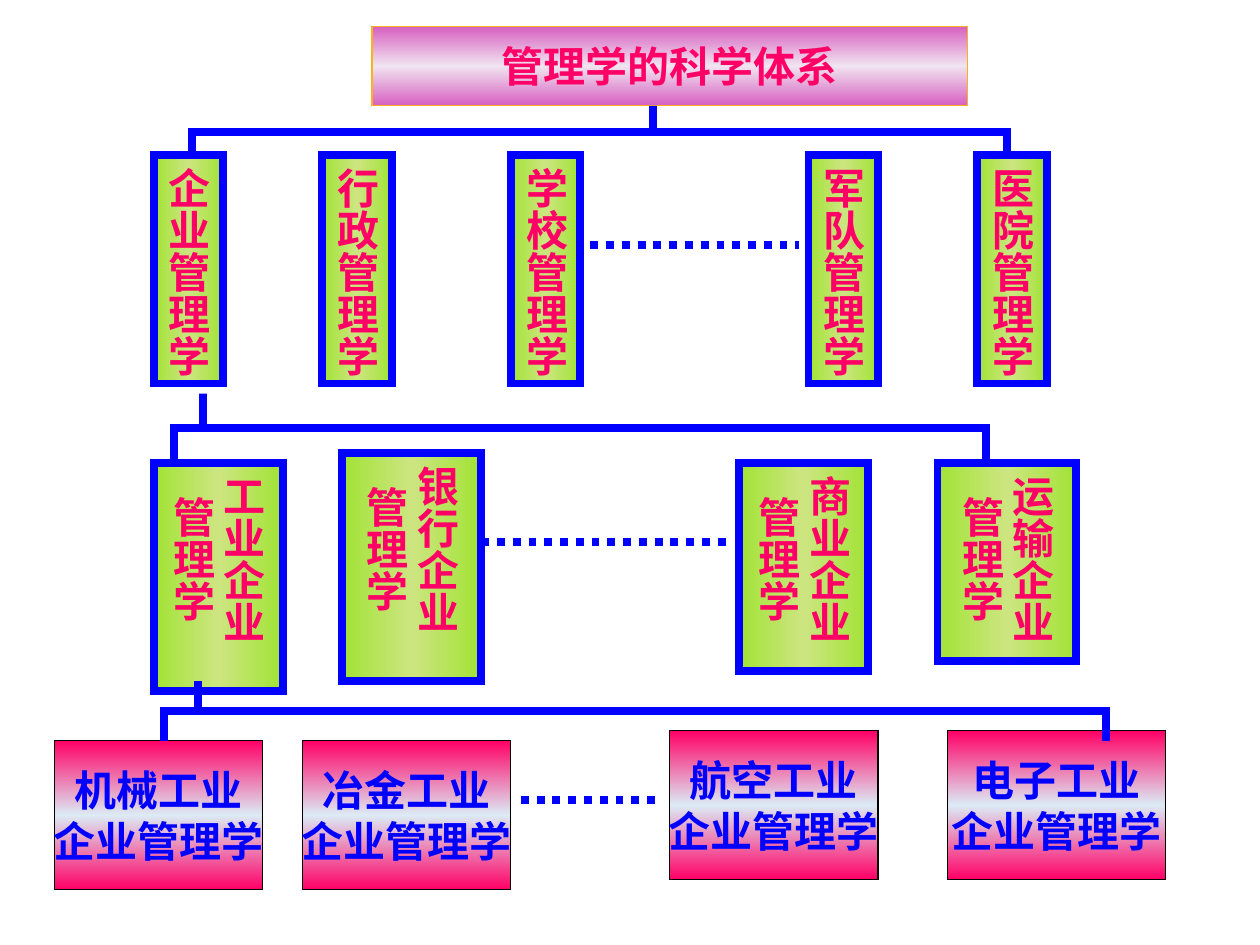
import copy
import dataclasses

import pptx
import pptx.dml.color
import pptx.enum.dml
import pptx.enum.shapes
import pptx.enum.text
import pptx.oxml.ns
import pptx.util


@dataclasses.dataclass(frozen=True)
class BoxStyle:
    """Look of one kind of box."""
    edge: str
    middle: str
    angle: int
    outline: str
    outline_width: float
    text: str
    vertical: bool = False


@dataclasses.dataclass(frozen=True)
class Theme:
    """Colours, type and box styles of the chart."""
    font: str = "Times New Roman"
    size: int = 24
    line: str = "0000FF"
    line_width: float = 4.5
    title: BoxStyle = BoxStyle("D75FC0", "F0E4F0", 90, "FAB11E", 0.75, "FF0066")
    branch: BoxStyle = BoxStyle("A1E335", "CDE581", 0, "0000FF", 4.5, "FF0066", True)
    industry: BoxStyle = BoxStyle("FF0066", "DCEBF5", 90, "000000", 0.75, "0000FF")


THEME = Theme()
WIDTH, HEIGHT = pptx.util.Inches(10), pptx.util.Inches(7.5)
CELL = WIDTH / 127
LEFT_MARGIN, TOP_MARGIN = 0.5, 0.67


def column_x(column):
    """Return the horizontal place of a grid column."""
    return round((column + LEFT_MARGIN) * CELL)


def row_y(row):
    """Return the vertical place of a grid row."""
    return round((row + TOP_MARGIN) * CELL)


def color(value):
    """Return a colour object for a hex value."""
    return pptx.dml.color.RGBColor.from_string(value)


def set_line(shape, value, width):
    """Give a shape a solid outline with square corners."""
    shape.line.color.rgb = color(value)
    shape.line.width = pptx.util.Pt(width)
    outline = shape.element.spPr.find(pptx.oxml.ns.qn("a:ln"))
    outline.append(pptx.oxml.parse_xml(
        f'<a:miter {pptx.oxml.ns.nsdecls("a")} lim="800000"/>'))


def set_gradient(shape, style):
    """Fill a shape with a gradient that is mirrored at its middle."""
    shape.fill.gradient()
    shape.fill.gradient_angle = style.angle
    stop_list = shape.element.spPr.find(".//" + pptx.oxml.ns.qn("a:gsLst"))
    stop_list.append(copy.deepcopy(stop_list[0]))
    values = (style.edge, style.middle, style.edge)
    for stop, position, value in zip(shape.fill.gradient_stops, (0, 0.5, 1), values):
        stop.position = position
        stop.color.rgb = color(value)


def add_box(slide, style, lines, column, row, columns, rows):
    """Add a gradient box with one centred paragraph per line."""
    shape = slide.shapes.add_shape(
        pptx.enum.shapes.MSO_SHAPE.RECTANGLE, column_x(column), row_y(row),
        round(columns * CELL), round(rows * CELL))
    shape.shadow.inherit = False
    set_gradient(shape, style)
    set_line(shape, style.outline, style.outline_width)
    frame = shape.text_frame
    frame.word_wrap = False
    frame.vertical_anchor = pptx.enum.text.MSO_ANCHOR.MIDDLE
    across, down = (0.05, 0.1) if style.vertical else (0.1, 0.05)
    frame.margin_left = frame.margin_right = pptx.util.Inches(across)
    frame.margin_top = frame.margin_bottom = pptx.util.Inches(down)
    if style.vertical:
        shape.element.find(".//" + pptx.oxml.ns.qn("a:bodyPr")).set("vert", "eaVert")
    frame.text = "\n".join(lines)
    for paragraph in frame.paragraphs:
        paragraph.alignment = pptx.enum.text.PP_ALIGN.CENTER
        paragraph.font.name = THEME.font
        paragraph.font.size = pptx.util.Pt(THEME.size)
        paragraph.font.bold = True
        paragraph.font.color.rgb = color(style.text)


def add_dots(slide, first_column, last_column, row):
    """Add a dotted line that stands for further items."""
    connector = slide.shapes.add_connector(
        pptx.enum.shapes.MSO_CONNECTOR.STRAIGHT,
        column_x(first_column), row_y(row), column_x(last_column), row_y(row))
    connector.line.color.rgb = color(THEME.line)
    connector.line.width = pptx.util.Pt(THEME.line_width)
    connector.line.dash_style = pptx.enum.dml.MSO_LINE.ROUND_DOT
    connector.element.spPr.append(pptx.oxml.parse_xml(
        f'<a:effectLst {pptx.oxml.ns.nsdecls("a")}/>'))


def add_bracket(slide, left, stem, right, top, bottom):
    """Add a bracket that leads from a parent down to its children."""
    middle = (top + bottom) / 2
    points = [(right, bottom), (right, middle), (stem, middle), (stem, top),
              (stem, middle), (left, middle), (left, bottom)]
    places = [(column_x(column), row_y(row)) for column, row in points]
    builder = slide.shapes.build_freeform(*places[0])
    builder.add_line_segments(places[1:], close=False)
    shape = builder.convert_to_shape()
    shape.shadow.inherit = False
    shape.fill.background()
    set_line(shape, THEME.line, THEME.line_width)


def main():
    """Build the chart of management sciences."""
    presentation = pptx.Presentation()
    presentation.slide_width, presentation.slide_height = WIDTH, HEIGHT
    slide = presentation.slides.add_slide(presentation.slide_layouts[6])

    add_box(slide, THEME.title, ["管理学的科学体系"], 37, 2, 60, 8)

    fields = [("企业", 15), ("行政", 32), ("学校", 51), ("军队", 81), ("医院", 98)]
    for name, column in fields:
        add_box(slide, THEME.branch, [name + "管理学"], column, 15, 7, 23)
    add_dots(slide, 59, 80, 24)

    enterprises = [("工业", 15, 46, 13, 23), ("银行", 34, 45, 14, 23),
                   ("商业", 74, 46, 13, 21), ("运输", 94, 46, 14, 20)]
    for name, *place in enterprises:
        add_box(slide, THEME.branch, [name + "企业", "管理学"], *place)
    add_dots(slide, 48, 73, 54)

    industries = [("机械", 5, 74, 21), ("冶金", 30, 74, 21),
                  ("航空", 67, 73, 21), ("电子", 95, 73, 22)]
    for name, column, row, columns in industries:
        add_box(slide, THEME.industry, [name + "工业", "企业管理学"],
                column, row, columns, 15)
    add_dots(slide, 52, 66, 80)

    add_bracket(slide, 18.9, 65.3, 101, 10, 15.3)
    add_bracket(slide, 17, 20, 98.9, 39, 46)
    add_bracket(slide, 16, 19.5, 111, 68, 74)

    presentation.save("out.pptx")


if __name__ == "__main__":
    main()
